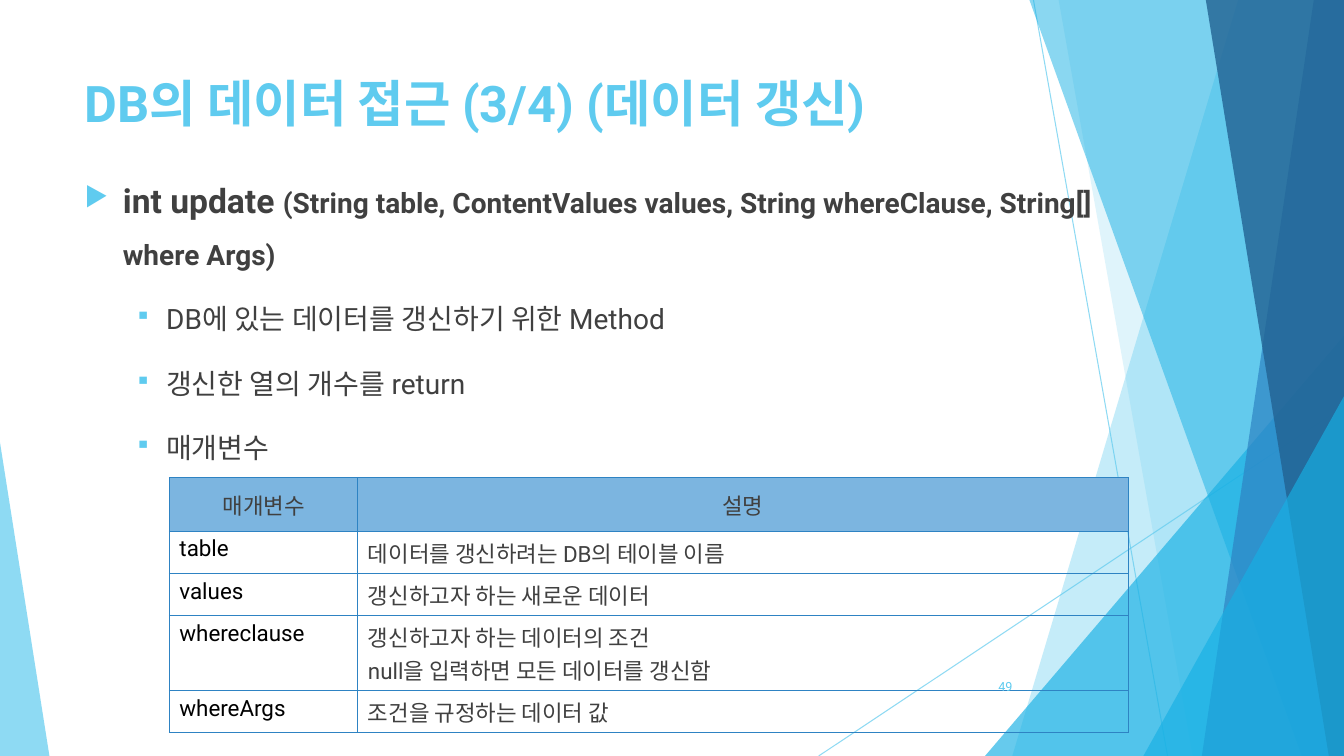
from dataclasses import dataclass

from lxml import etree
from pptx import Presentation
from pptx.dml.color import RGBColor
from pptx.enum.shapes import MSO_CONNECTOR, MSO_SHAPE
from pptx.enum.text import MSO_ANCHOR, PP_ALIGN
from pptx.oxml.ns import qn
from pptx.util import Inches, Pt

STRAIGHT = MSO_CONNECTOR.STRAIGHT
TRIANGLE = MSO_SHAPE.ISOSCELES_TRIANGLE
TOP, MIDDLE = MSO_ANCHOR.TOP, MSO_ANCHOR.MIDDLE
LEFT, CENTER, RIGHT = PP_ALIGN.LEFT, PP_ALIGN.CENTER, PP_ALIGN.RIGHT
WIDTH, HEIGHT = 13.33, 7.5


@dataclass(frozen=True)
class Theme:
    font: str = "Roboto"
    sky: str = "5FCBEF"
    cyan: str = "17B0E4"
    blue: str = "2E83C3"
    navy: str = "226292"
    header: str = "7CB5E0"
    text: str = "404040"
    black: str = "000000"
    title_size: int = 36
    method_size: int = 24
    body_size: int = 20
    table_size: int = 16
    number_size: int = 9


THEME = Theme()

# top x, bottom x, colour, opacity: each panel runs to the right slide edge
BACK_PANELS = [(12.28, 10.04, THEME.sky, 36), (10.5, 11.83, THEME.sky, 20)]
FRONT_PANELS = [
    (10.21, 12.91, THEME.cyan, 50),
    (13.03, 11.92, THEME.blue, 70),
    (11.96, 13.18, THEME.navy, 80),
]

BULLETS = [
    "DB에 있는 데이터를 갱신하기 위한 Method",
    "갱신한 열의 개수를 return",
    "매개변수",
]

COLUMN_WIDTHS = [1.87, 7.64]
ROW_HEIGHTS = [0.53, 0.42, 0.42, 0.74, 0.42]
PARAMETERS = [
    ("매개변수", ["설명"]),
    ("table", ["데이터를 갱신하려는 DB의 테이블 이름"]),
    ("values", ["갱신하고자 하는 새로운 데이터"]),
    ("whereclause", ["갱신하고자 하는 데이터의 조건", "null을 입력하면 모든 데이터를 갱신함"]),
    ("whereArgs", ["조건을 규정하는 데이터 값"]),
]


def rgb(colour):
    return RGBColor.from_string(colour)


def set_opacity(shape, percent):
    for colour in shape._element.iter(qn("a:srgbClr")):
        etree.SubElement(colour, qn("a:alpha"), val=str(percent * 1000))


def style_facet(shape, colour, opacity):
    shape.shadow.inherit = False
    shape.fill.solid()
    shape.fill.fore_color.rgb = rgb(colour)
    shape.line.fill.background()
    set_opacity(shape, opacity)


def add_panel(slide, top_x, bottom_x, colour, opacity):
    corners = [(WIDTH, 0), (WIDTH, HEIGHT), (bottom_x, HEIGHT)]
    builder = slide.shapes.build_freeform(Inches(top_x), 0)
    builder.add_line_segments([(Inches(x), Inches(y)) for x, y in corners], close=True)
    style_facet(builder.convert_to_shape(), colour, opacity)


def add_triangle(slide, left, top, width, apex, colour, opacity):
    """Add a right triangle standing on the bottom slide edge."""
    shape = slide.shapes.add_shape(
        TRIANGLE, Inches(left), Inches(top), Inches(width), Inches(HEIGHT - top))
    shape.adjustments[0] = apex
    style_facet(shape, colour, opacity)


def add_thin_line(slide, x1, y1, x2, y2):
    line = slide.shapes.add_connector(
        STRAIGHT, Inches(x1), Inches(y1), Inches(x2), Inches(y2))
    line.line.color.rgb = rgb(THEME.sky)
    line.line.width = Pt(0.75)
    set_opacity(line, 70)
    etree.SubElement(line._element.spPr, qn("a:effectLst"))


def add_facets(slide):
    add_thin_line(slide, 10.25, 0, 11.58, HEIGHT)
    add_thin_line(slide, WIDTH, 4.03, 8.12, HEIGHT)
    for panel in BACK_PANELS:
        add_panel(slide, *panel)
    add_triangle(slide, 9.77, 3.33, 3.56, 1, THEME.cyan, 66)
    for panel in FRONT_PANELS:
        add_panel(slide, *panel)
    add_triangle(slide, 11.34, 3.93, 1.99, 1, THEME.cyan, 66)
    add_triangle(slide, 0, 4.39, 0.49, 0, THEME.sky, 70)


def add_text_box(slide, left, top, width, height, anchor=TOP):
    box = slide.shapes.add_textbox(
        Inches(left), Inches(top), Inches(width), Inches(height))
    frame = box.text_frame
    frame.word_wrap = True
    frame.vertical_anchor = anchor
    return frame


def add_run(paragraph, text, size, colour, bold=False):
    run = paragraph.add_run()
    run.text = text
    run.font.name = THEME.font
    run.font.size = Pt(size)
    run.font.bold = bold
    run.font.color.rgb = rgb(colour)


def set_bullet(paragraph, mark, indent, hanging):
    properties = paragraph._p.get_or_add_pPr()
    properties.set("marL", str(Inches(indent)))
    properties.set("indent", str(-Inches(hanging)))
    colour = etree.SubElement(properties, qn("a:buClr"))
    etree.SubElement(colour, qn("a:srgbClr"), val=THEME.sky)
    etree.SubElement(properties, qn("a:buSzPct"), val="80000")
    etree.SubElement(properties, qn("a:buChar"), char=mark)
    paragraph.line_spacing = 1.5


def add_body(slide):
    frame = add_text_box(slide, 0.74, 1.54, 10.31, 4.99)
    method = frame.paragraphs[0]
    set_bullet(method, "▶", 0.38, 0.38)
    add_run(method, "int update ", THEME.method_size, THEME.text, bold=True)
    add_run(method,
            "(String table, ContentValues values, String whereClause, String[] where Args)",
            THEME.body_size, THEME.text, bold=True)
    for text in BULLETS:
        paragraph = frame.add_paragraph()
        paragraph.level = 1
        set_bullet(paragraph, "▪", 0.81, 0.31)
        paragraph.space_before = Pt(10)
        add_run(paragraph, text, THEME.body_size, THEME.text)


def set_borders(cell):
    properties = cell._tc.get_or_add_tcPr()
    for position, side in enumerate(("lnL", "lnR", "lnT", "lnB")):
        line = etree.Element(qn(f"a:{side}"), w=str(Pt(1)))
        fill = etree.SubElement(line, qn("a:solidFill"))
        etree.SubElement(fill, qn("a:srgbClr"), val=THEME.blue)
        properties.insert(position, line)


def fill_cell(cell, lines, colour, is_header):
    if is_header:
        cell.fill.solid()
        cell.fill.fore_color.rgb = rgb(THEME.header)
    else:
        cell.fill.background()
    set_borders(cell)
    cell.vertical_anchor = MIDDLE if is_header else TOP
    frame = cell.text_frame
    for index, text in enumerate(lines):
        paragraph = frame.add_paragraph() if index else frame.paragraphs[0]
        paragraph.alignment = CENTER if is_header else LEFT
        add_run(paragraph, text, THEME.table_size, colour)


def add_parameter_table(slide):
    table = slide.shapes.add_table(
        len(PARAMETERS), len(COLUMN_WIDTHS), Inches(1.68), Inches(4.74),
        Inches(sum(COLUMN_WIDTHS)), Inches(sum(ROW_HEIGHTS))).table
    table.first_row = table.horz_banding = False
    for column, width in zip(table.columns, COLUMN_WIDTHS):
        column.width = Inches(width)
    for index, (name, description) in enumerate(PARAMETERS):
        is_header = index == 0
        table.rows[index].height = Inches(ROW_HEIGHTS[index])
        name_colour = THEME.text if is_header else THEME.black
        fill_cell(table.cell(index, 0), [name], name_colour, is_header)
        fill_cell(table.cell(index, 1), description, THEME.text, is_header)


def main():
    presentation = Presentation()
    presentation.slide_width = Inches(WIDTH)
    presentation.slide_height = Inches(HEIGHT)
    slide = presentation.slides.add_slide(presentation.slide_layouts[6])
    add_facets(slide)
    title = add_text_box(slide, 0.74, 0.67, 9.4, 1.44).paragraphs[0]
    add_run(title, "DB의 데이터 접근 (3/4) (데이터 갱신)",
            THEME.title_size, THEME.sky, bold=True)
    add_body(slide)
    add_parameter_table(slide)
    number = add_text_box(slide, 9.39, 6.61, 0.75, 0.4, MIDDLE).paragraphs[0]
    number.alignment = RIGHT
    add_run(number, "49", THEME.number_size, THEME.sky)
    presentation.save("out.pptx")


if __name__ == "__main__":
    main()
